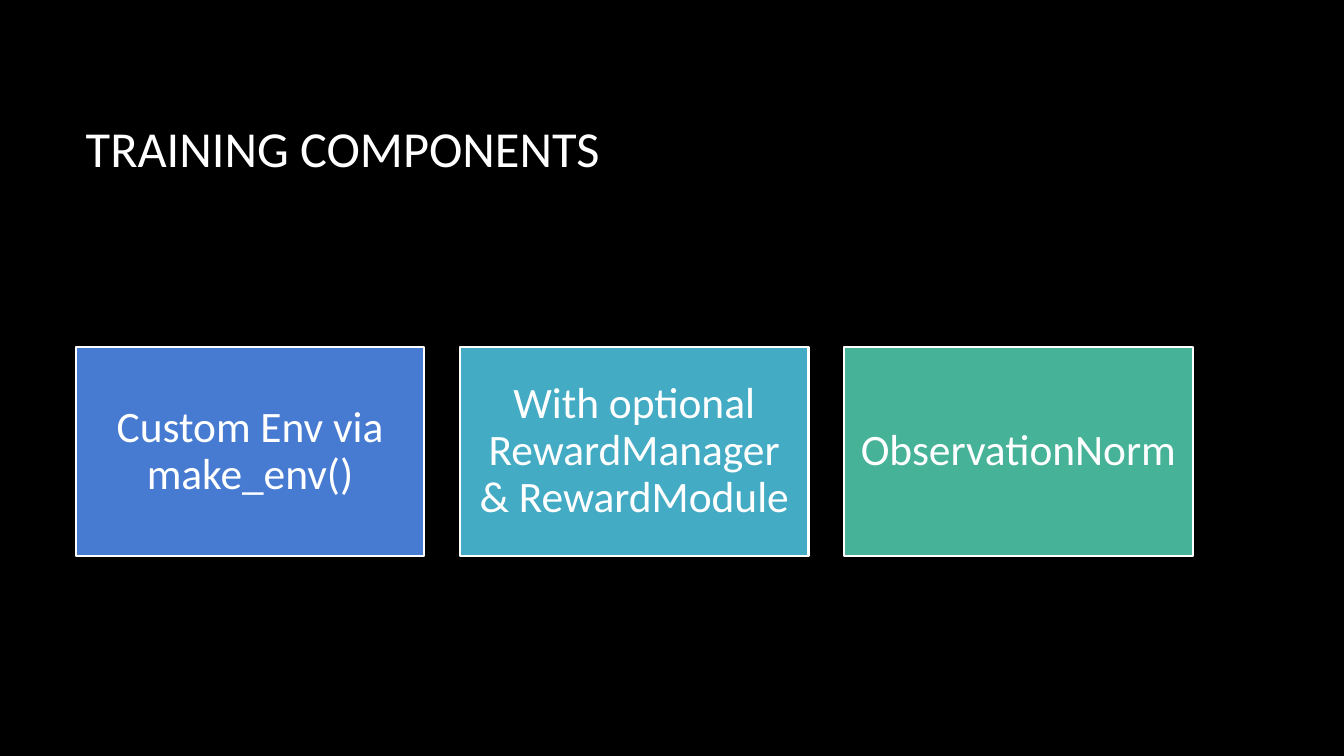
from pptx import Presentation
from pptx.dml.color import RGBColor
from pptx.enum.shapes import MSO_SHAPE as Shape
from pptx.enum.text import MSO_ANCHOR as Anchor, PP_ALIGN as Align
from pptx.util import Inches, Pt

BLACK = RGBColor(0x00, 0x00, 0x00)
WHITE = RGBColor(0xFF, 0xFF, 0xFF)
BLUE = RGBColor(0x47, 0x7B, 0xD1)
CYAN = RGBColor(0x44, 0xAB, 0xC4)
GREEN = RGBColor(0x46, 0xB2, 0x98)

COMPONENTS = [
    ("Custom Env via make_env()", BLUE),
    ("With optional RewardManager & RewardModule", CYAN),
    ("ObservationNorm", GREEN),
]


def write(tf, text, size=31, color=WHITE, font="Calibri", align=Align.CENTER,
          spacing=1.0, inset=0.13):
    tf.word_wrap = True
    tf.vertical_anchor = Anchor.MIDDLE
    tf.margin_left = tf.margin_right = Inches(inset)
    tf.margin_top = tf.margin_bottom = Inches(inset)
    p = tf.paragraphs[0]
    p.alignment = align
    p.line_spacing = spacing
    r = p.add_run()
    r.text = text
    r.font.size = Pt(size)
    r.font.name = font
    r.font.color.rgb = color


class Deck:
    """Holds the style, the column grid and the current slide."""

    left, col, gap = 0.75, 3.46, 0.35

    def __init__(self):
        self.prs = Presentation()
        self.prs.slide_width, self.prs.slide_height = Inches(13.33), Inches(7.5)
        self.s = self.prs.slides.add_slide(self.prs.slide_layouts[5])
        fill = self.s.background.fill
        fill.solid()
        fill.fore_color.rgb = BLACK

    def span(self, start, count=1):
        x = self.left + start * (self.col + self.gap)
        return Inches(x), Inches(count * self.col + (count - 1) * self.gap)

    def title(self, text, columns, top=0.67, height=1.59):
        sp = self.s.shapes.title
        sp.left, sp.width = self.span(0, columns)
        sp.top, sp.height = Inches(top), Inches(height)
        write(sp.text_frame, text, size=36, align=Align.LEFT, inset=0.1)

    def card(self, column, text, color, top=3.44, height=2.08):
        x, w = self.span(column)
        sp = self.s.shapes.add_shape(Shape.RECTANGLE, x, Inches(top), w, Inches(height))
        sp.shadow.inherit = False
        sp.fill.solid()
        sp.fill.fore_color.rgb = color
        sp.line.color.rgb = WHITE
        sp.line.width = Pt(1.5)
        write(sp.text_frame, text, spacing=0.9)


def main():
    deck = Deck()
    deck.title("TRAINING COMPONENTS", len(COMPONENTS))
    for i, (text, color) in enumerate(COMPONENTS):
        deck.card(i, text, color)
    deck.prs.save("out.pptx")


if __name__ == "__main__":
    main()
